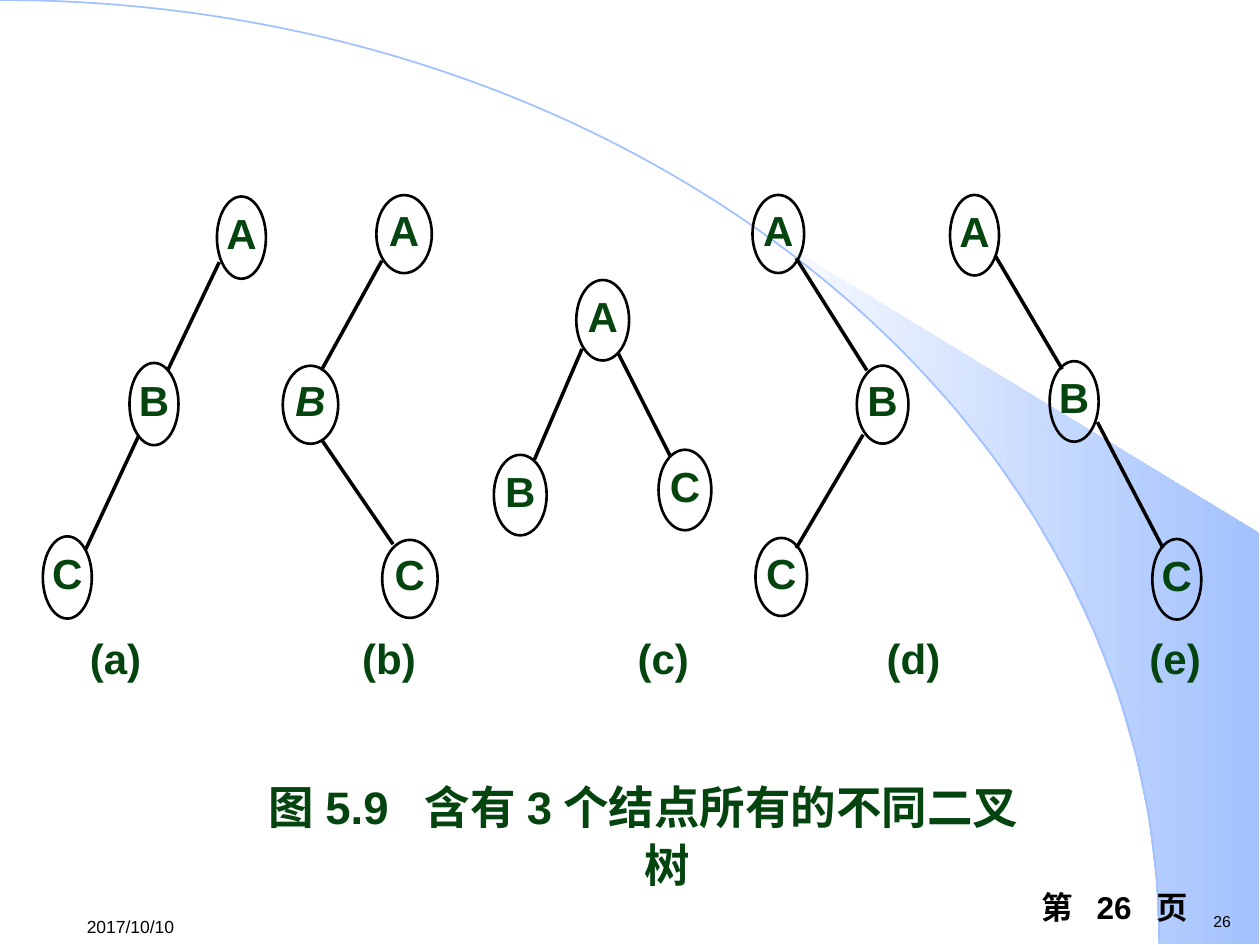
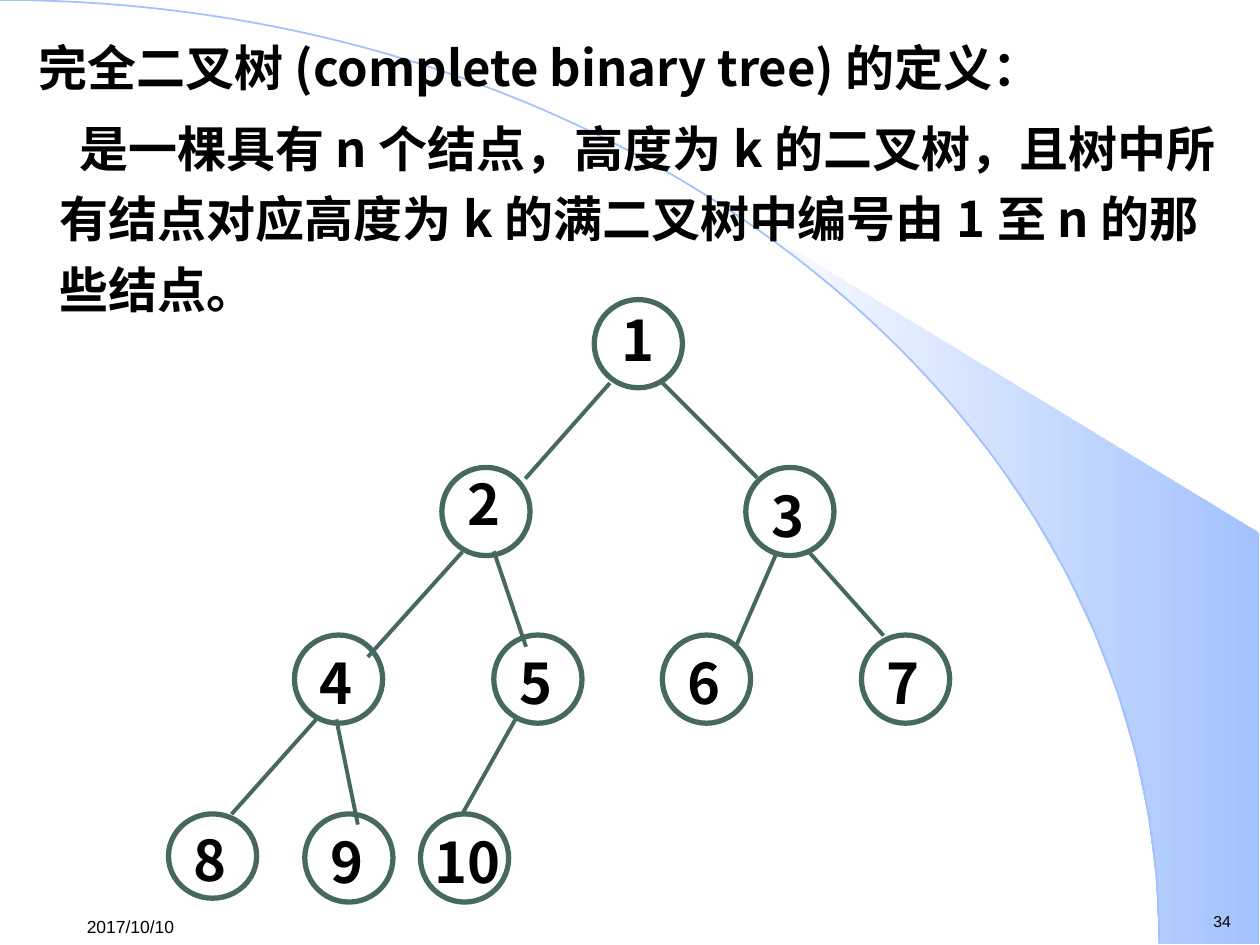
"""Build two slides on binary trees over a shared curved backdrop."""
import math

import pptx
import pptx.dml.color
import pptx.enum.shapes
import pptx.enum.text
import pptx.oxml.ns
import pptx.util
from lxml import etree

LATIN = "Arial"
CHINESE = "Noto Sans CJK SC"
BLACK = "000000"
GREEN = "04440F"
SAGE = "466861"
SKY = "A2C1FE"
WHITE = "FFFFFF"
DATE = "2017/10/10"
ARC_WIDTH, ARC_HEIGHT = 662.4, 539.3

Pt = pptx.util.Pt
qualified = pptx.oxml.ns.qn
ALIGN = pptx.enum.text.PP_ALIGN
ANCHOR = pptx.enum.text.MSO_ANCHOR
SHAPE = pptx.enum.shapes.MSO_SHAPE

THREE_NODE_TREES = [
    ((28, 47),
     [("A", 124, 112.3), ("B", 74, 207.4), ("C", 24.5, 306.5)],
     [(125.3, 149.8, 95.8, 211.7), (79.2, 249.1, 49, 313.9)]),
    ((31.7, 44.6),
     [("A", 215.1, 111.5), ("B", 161.6, 209), ("C", 218.4, 308.5)],
     [(218.2, 149, 183.6, 211.7), (184.3, 252, 224.6, 311)]),
    ((30.2, 46),
     [("A", 329.3, 160), ("B", 282.2, 259.9), ("C", 376.3, 257)],
     [(332.6, 199.4, 305.3, 262.8), (353.5, 202.3, 383, 260.6)]),
    ((29.5, 44.6),
     [("A", 430, 111.4), ("B", 489.6, 208.9), ("C", 431.7, 307.4)],
     [(455, 147.6, 495.4, 211.7), (493.2, 248.4, 455, 313.2)]),
    ((28, 46),
     [("A", 542.9, 111.4), ("B", 599.8, 206.4), ("C", 658.5, 308)],
     [(568.8, 146.2, 607, 211), (627.1, 241.2, 664.6, 313.2)]),
]
ITALIC_NODE = (1, "B")
TREE_LABELS = [("(a)", 66), ("(b)", 222.3), ("(c)", 379), ("(d)", 522), ("(e)", 671.5)]

COMPLETE_TREE_LEVELS = [
    (171.2, [339.6]),
    (267.1, [252.5, 426.2]),
    (362.9, [168.3, 282.2, 378.5, 492.3]),
    (465.1, [96.3, 174.2, 240.3]),
]
CIRCLE = (50.4, 50.4)
CIRCLE_SIZES = {8: (50.4, 48.2)}
NUMBER_INSETS = {1: (0, 0, 9), 2: (0, 2.4, 13), 10: (3.6, 0, 0)}
USUAL_INSETS = (0, 2.4, 0)
COMPLETE_TREE_EDGES = [
    (348.5, 218.9, 300.2, 273.5), (378.7, 218.9, 432.7, 273),
    (264.2, 315.4, 210.2, 375.4), (282.2, 315, 300.6, 369.6),
    (444.2, 315, 420.5, 369.4), (462.2, 315.4, 504.9, 363.2),
    (180.7, 411.1, 132.3, 465.3), (192.2, 411.1, 204.5, 471.2),
    (294.5, 411.1, 264.2, 465.1),
]


def colour(hex_string):
    return pptx.dml.color.RGBColor.from_string(hex_string)


def add_run(paragraph, text, size, hex_string=BLACK, font=LATIN, bold=False,
            italic=False, tracking=0):
    run = paragraph.add_run()
    run.text = text
    run.font.size = Pt(size)
    run.font.name = font
    run.font.bold = bold
    run.font.italic = italic
    run.font.color.rgb = colour(hex_string)
    if tracking:
        run.font._element.set("spc", str(round(tracking * 100)))
    east_asian = etree.SubElement(run.font._element, qualified("a:ea"))
    east_asian.set("typeface", CHINESE)


def add_spaced_words(paragraph, words, size, tracking, hex_string=BLACK):
    for index, word in enumerate(words):
        if index:
            add_run(paragraph, " ", size, hex_string, bold=True, tracking=tracking)
        add_run(paragraph, word, size, hex_string, bold=True)


def set_indent(paragraph, left, first_line):
    properties = paragraph._p.get_or_add_pPr()
    properties.set("marL", str(Pt(left)))
    properties.set("indent", str(Pt(first_line)))
    return properties


def set_frame(shape, inset=0, wrap=True, anchor=ANCHOR.TOP):
    frame = shape.text_frame
    frame.word_wrap = wrap
    frame.vertical_anchor = anchor
    frame.margin_left = frame.margin_right = Pt(inset)
    frame.margin_top = frame.margin_bottom = Pt(inset / 2)
    return frame.paragraphs[0]


def add_text_box(slide, left, top, width, height, **frame_options):
    shape = slide.shapes.add_textbox(Pt(left), Pt(top), Pt(width), Pt(height))
    return set_frame(shape, **frame_options)


def add_node(slide, preset, position, size, line_width, line_colour, line_spacing,
             insets=(0, 0, 0)):
    shape = slide.shapes.add_shape(preset, *map(Pt, position), *map(Pt, size))
    shape.shadow.inherit = False
    shape.fill.background()
    shape.line.color.rgb = colour(line_colour)
    shape.line.width = Pt(line_width)
    paragraph = set_frame(shape, wrap=False, anchor=ANCHOR.MIDDLE)
    frame = shape.text_frame
    frame.margin_left, frame.margin_right, frame.margin_bottom = map(Pt, insets)
    paragraph.alignment = ALIGN.CENTER
    paragraph.line_spacing = line_spacing
    return paragraph


def add_edge(slide, ends, width, hex_string):
    edge = slide.shapes.add_connector(
        pptx.enum.shapes.MSO_CONNECTOR.STRAIGHT, *map(Pt, ends))
    edge.line.color.rgb = colour(hex_string)
    edge.line.width = Pt(width)
    etree.SubElement(edge._element.spPr, qualified("a:effectLst"))


def arc_points(start_x, steps):
    first = math.acos(start_x / ARC_WIDTH)
    angles = [first * (1 - step / steps) for step in range(steps + 1)]
    return [(ARC_WIDTH * math.cos(angle), ARC_HEIGHT * (1 - math.sin(angle)))
            for angle in angles]


def add_outline(slide, points, close):
    corners = [(Pt(x), Pt(y)) for x, y in points]
    builder = slide.shapes.build_freeform(*corners[0])
    builder.add_line_segments(corners[1:], close=close)
    shape = builder.convert_to_shape()
    shape.shadow.inherit = False
    return shape


def add_curve(slide, points):
    shape = add_outline(slide, points, False)
    segments = shape._element.xpath(".//a:lnTo")
    curve = etree.SubElement(segments[0].getparent(), qualified("a:cubicBezTo"))
    for segment in segments:
        curve.append(segment[0])
        segment.getparent().remove(segment)
    return shape


def add_master_backdrop(presentation, slide):
    wedge = add_outline(
        slide, arc_points(424, 13) + [(719.3, ARC_HEIGHT), (719.3, 304.6)], True)
    wedge.line.fill.background()
    wedge.fill.gradient()
    wedge.fill.gradient_angle = 0
    for stop, hex_string in zip(wedge.fill.gradient_stops, (WHITE, SKY)):
        stop.color.rgb = colour(hex_string)
    arc = add_curve(
        slide, [(0, 0), (365.8, 0), (ARC_WIDTH, 241.4), (ARC_WIDTH, ARC_HEIGHT)])
    arc.fill.background()
    arc.line.color.rgb = colour(SKY)
    arc.line.width = Pt(1)
    for number, shape in enumerate((wedge, arc), start=101):
        shape._element.nvSpPr.cNvPr.set("id", str(number))
        presentation.slide_master.shapes.element.append(shape._element)


def add_footer(slide, page):
    number = add_text_box(slide, 686.2, 517.7, 25.2, 18, inset=7.2, wrap=False)
    add_run(number, page, 9)
    date = add_text_box(slide, 42.5, 518.4, 73.4, 21.6, inset=7.2, wrap=False,
                        anchor=ANCHOR.MIDDLE)
    add_run(date, DATE, 10)


def add_tree_labels(slide):
    width = 60
    for label, centre in TREE_LABELS:
        paragraph = add_text_box(slide, centre - width / 2, 367.2, width, 32.4)
        paragraph.alignment = ALIGN.CENTER
        paragraph.line_spacing = 0.8
        add_run(paragraph, label, 24, GREEN, bold=True)


def fill_three_node_slide(slide):
    for index, (size, nodes, edges) in enumerate(THREE_NODE_TREES):
        for ends in edges:
            add_edge(slide, ends, 2, BLACK)
        for name, left, top in nodes:
            paragraph = add_node(slide, SHAPE.OVAL, (left, top), size, 1.5, BLACK, 0.8)
            add_run(paragraph, name, 24, GREEN, bold=True,
                    italic=(index, name) == ITALIC_NODE)
    add_tree_labels(slide)
    caption = add_text_box(slide, 149, 443.5, 437.8, 28)
    set_indent(caption, 27, -27)
    caption.alignment = ALIGN.CENTER
    caption.line_spacing = Pt(33)
    add_spaced_words(caption, ["图5.9", "含有3个结点所有的不同二叉树"], 26, 7.2, GREEN)
    page = add_text_box(slide, 588.2, 504, 131.8, 36, inset=7.2)
    add_spaced_words(page, ["第", "26", "页"], 18, 5)


def fill_definition(slide):
    slide.shapes.title.element.getparent().remove(slide.shapes.title.element)
    body = slide.placeholders[1]
    body.left, body.top, body.width, body.height = Pt(0), Pt(18), Pt(720), Pt(522)
    heading = set_frame(body, inset=7.2)
    body.text_frame.auto_size = pptx.enum.text.MSO_AUTO_SIZE.NONE
    definition = body.text_frame.add_paragraph()
    contents = [
        (heading, 14.8, 0, 0, 1.0, "完全二叉树(complete binary tree)的定义："),
        (definition, 27, 11.2, 5.6, 1.2,
         "是一棵具有n个结点，高度为k的二叉树，且树中所有结点对应高度为k的"
         "满二叉树中编号由1至n的那些结点。"),
    ]
    for paragraph, left, first_line, space, spacing, text in contents:
        properties = set_indent(paragraph, left, first_line)
        etree.SubElement(properties, qualified("a:buNone"))
        paragraph.space_before = Pt(space)
        paragraph.line_spacing = spacing
        add_run(paragraph, text, 28, font=CHINESE, bold=True)


def fill_complete_tree_slide(slide):
    fill_definition(slide)
    positions = [(left, top) for top, lefts in COMPLETE_TREE_LEVELS for left in lefts]
    for number, position in enumerate(positions, start=1):
        paragraph = add_node(slide, SHAPE.FLOWCHART_CONNECTOR, position,
                             CIRCLE_SIZES.get(number, CIRCLE), 3, SAGE, 1.1,
                             NUMBER_INSETS.get(number, USUAL_INSETS))
        add_run(paragraph, str(number), 32, font=CHINESE, bold=True)
    for ends in COMPLETE_TREE_EDGES:
        add_edge(slide, ends, 2.25, SAGE)


def main():
    presentation = pptx.Presentation()
    presentation.slide_width, presentation.slide_height = Pt(720), Pt(540)
    layouts = presentation.slide_layouts
    three_node_slide = presentation.slides.add_slide(layouts.get_by_name("Blank"))
    complete_tree_slide = presentation.slides.add_slide(
        layouts.get_by_name("Title and Content"))
    add_master_backdrop(presentation, three_node_slide)
    add_footer(three_node_slide, "26")
    fill_three_node_slide(three_node_slide)
    add_footer(complete_tree_slide, "34")
    fill_complete_tree_slide(complete_tree_slide)
    presentation.save("out.pptx")


if __name__ == "__main__":
    main()
